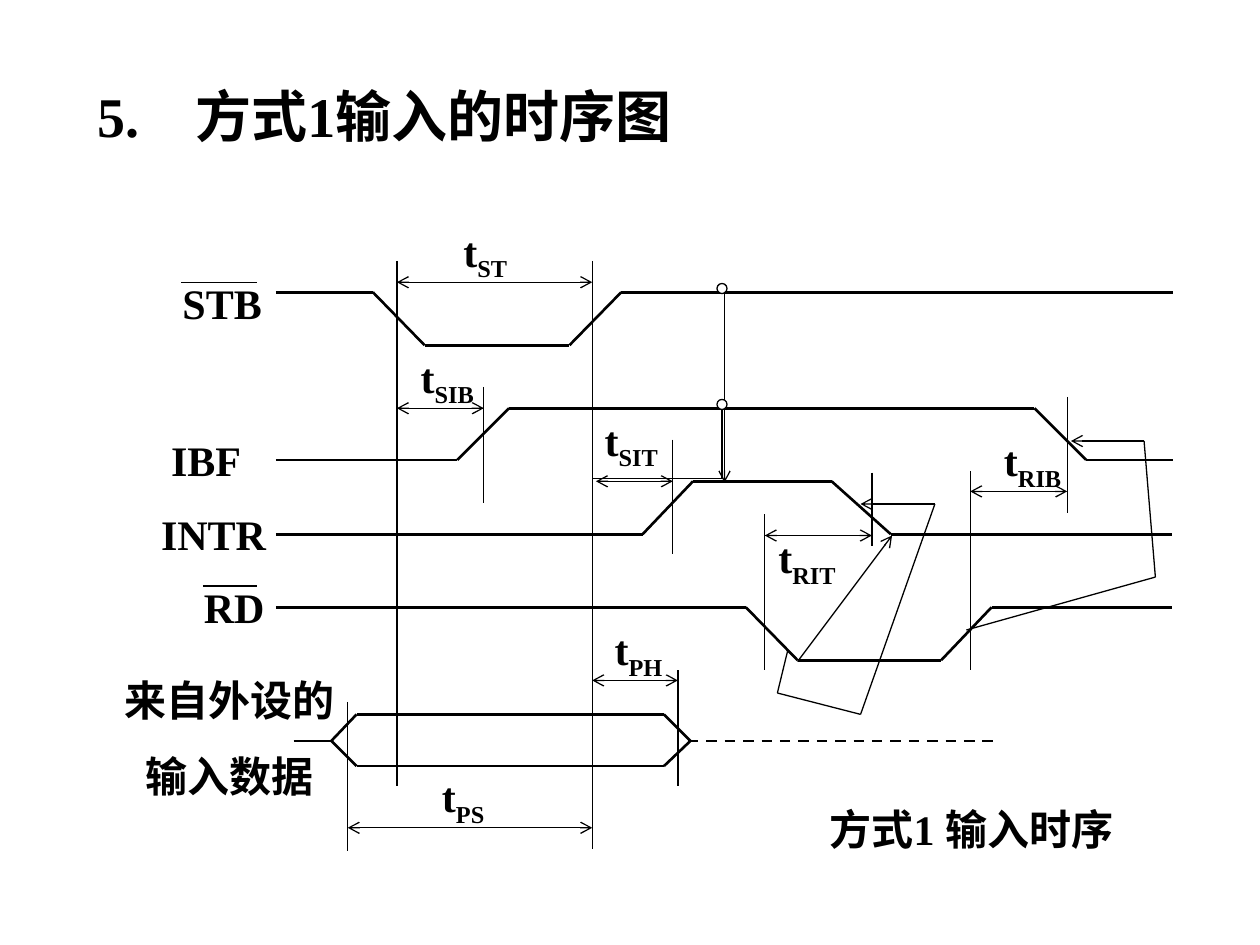
from itertools import pairwise

from lxml import etree
from pptx import Presentation
from pptx import util as u
from pptx.dml import color
from pptx.enum import dml, shapes, text
from pptx.oxml import ns

COLORS = {"ink": "000000", "paper": "FFFFFF"}
THICK, THIN = 1.5, 0.75


class TimingDiagram:
    font = "Times New Roman"
    size = 24

    def __init__(self, s):
        self.s = s

    def rgb(self, name):
        return color.RGBColor.from_string(COLORS[name])

    def outline(self, sp, width):
        sp.line.color.rgb = self.rgb("ink")
        sp.line.width = u.Pt(width)

    def run(self, p, words, size=None, baseline=None):
        r = p.add_run()
        r.text = words
        r.font.name = self.font
        r.font.size = u.Pt(size or self.size)
        r.font.bold = True
        r.font.color.rgb = self.rgb("ink")
        if baseline:
            r.font._element.set("baseline", str(baseline))

    def frame(self, sp):
        tf = sp.text_frame
        tf.word_wrap = True
        tf.auto_size = text.MSO_AUTO_SIZE.NONE
        tf.vertical_anchor = text.MSO_ANCHOR.TOP
        return tf

    def title(self, words, x, y, w, h, tab):
        sp = self.s.shapes.title
        sp.left, sp.top, sp.width, sp.height = map(u.Inches, (x, y, w, h))
        p = self.frame(sp).paragraphs[0]
        p.alignment = text.PP_ALIGN.LEFT
        tabs = etree.SubElement(p._p.get_or_add_pPr(), ns.qn("a:tabLst"))
        etree.SubElement(tabs, ns.qn("a:tab"), pos=str(u.Inches(tab)), algn="l")
        self.run(p, words, 32)

    def label(self, lines, x, y, w, h=0.5, align=text.PP_ALIGN.LEFT):
        sp = self.s.shapes.add_textbox(*map(u.Inches, (x, y, w, h)))
        tf = self.frame(sp)
        for i, words in enumerate(lines):
            p = tf.add_paragraph() if i else tf.paragraphs[0]
            p.alignment = align
            if i:
                p.space_before = u.Pt(15)
            self.run(p, words)

    def interval(self, sub, x, y, boxed=False):
        box = [u.Inches(v) for v in (x, y, 1.03, 0.56)]
        if boxed:
            sp = self.s.shapes.add_shape(shapes.MSO_SHAPE.RECTANGLE, *box)
            sp.shadow.inherit = False
            sp.fill.background()
            self.outline(sp, THIN)
        else:
            sp = self.s.shapes.add_textbox(*box)
        p = self.frame(sp).paragraphs[0]
        p.alignment = text.PP_ALIGN.LEFT
        self.run(p, "t")
        self.run(p, sub, baseline=-25000)

    def line(self, start, end, width=THIN, ends=(), dashed=False):
        sp = self.s.shapes.add_connector(
            shapes.MSO_CONNECTOR.STRAIGHT, *map(u.Inches, (*start, *end)))
        self.outline(sp, width)
        if dashed:
            sp.line.dash_style = dml.MSO_LINE.DASH
        ln = sp.line._get_or_add_ln()
        for end_tag in ends:
            etree.SubElement(ln, ns.qn(f"a:{end_tag}"), type="arrow")
        etree.SubElement(sp._element.spPr, ns.qn("a:effectLst"))

    def trace(self, points, width=THICK, arrow=False):
        steps = list(pairwise(points))
        for i, (start, end) in enumerate(steps):
            last = arrow and i == len(steps) - 1
            self.line(start, end, width, ("tailEnd",) if last else ())

    def node(self, x, y, d=0.08):
        sp = self.s.shapes.add_shape(
            shapes.MSO_SHAPE.OVAL, *map(u.Inches, (x, y, d, d)))
        sp.shadow.inherit = False
        sp.fill.solid()
        sp.fill.fore_color.rgb = self.rgb("paper")
        self.outline(sp, THIN)


WAVES = {
    "STB": [(2.19, 2.32), (2.96, 2.32), (3.37, 2.74), (4.52, 2.74),
            (4.93, 2.32), (9.31, 2.32)],
    "IBF": [(2.19, 3.65), (3.63, 3.65), (4.04, 3.24), (8.21, 3.24),
            (8.62, 3.65), (9.31, 3.65)],
    "INTR": [(2.19, 4.24), (5.1, 4.24), (5.5, 3.82), (6.6, 3.82),
             (7.07, 4.24), (9.3, 4.24)],
    "RD": [(2.19, 4.82), (5.92, 4.82), (6.33, 5.24), (7.47, 5.24),
           (7.87, 4.82), (9.3, 4.82)],
    "data high": [(2.33, 5.88), (2.63, 5.88), (2.83, 5.67), (5.27, 5.67),
                  (5.48, 5.88)],
    "data low": [(2.63, 5.88), (2.83, 6.08), (5.27, 6.08), (5.48, 5.88)],
}
GUIDES = [(3.15, 2.07, 6.24), (4.7, 2.07, 6.74), (2.76, 5.57, 6.75),
          (6.07, 4.08, 5.32), (7.7, 3.74, 5.32), (6.92, 3.75, 4.33),
          (8.47, 3.15, 4.07), (3.84, 3.07, 3.99), (5.34, 3.49, 4.4),
          (5.38, 5.32, 6.24)]
SPANS = [(3.15, 4.7, 2.24), (3.15, 3.84, 3.24), (4.73, 5.34, 3.82),
         (6.07, 6.92, 4.25), (7.7, 8.47, 3.9), (4.7, 5.38, 5.4),
         (2.76, 4.7, 6.57)]
INTERVALS = [("ST", 3.58, 1.74), ("SIB", 3.24, 2.74), ("RIT", 6.08, 4.17),
             ("RIB", 7.87, 3.4), ("PS", 3.41, 6.07), ("PH", 4.78, 4.9)]
SIGNALS = [("STB", 1.35, 2.15), ("IBF", 1.26, 3.4), ("INTR", 1.18, 3.99),
           ("RD", 1.52, 4.57)]
OVERBARS = [(1.44, 2.24), (1.61, 4.65)]
CAUSES = [
    [(6.33, 5.25), (7.08, 4.25)],
    [(6.25, 5.17), (6.17, 5.5), (6.83, 5.67), (7.42, 4), (6.83, 4)],
    [(7.67, 5), (9.17, 4.58), (9.08, 3.5), (8.5, 3.5)],
    [(5.75, 2.33), (5.75, 3.83)],
]


def main():
    prs = Presentation()
    prs.slide_width, prs.slide_height = u.Inches(10), u.Inches(7.5)
    d = TimingDiagram(prs.slides.add_slide(prs.slide_layouts[5]))
    d.title("5.\t方式1输入的时序图", 0.67, 0.6, 8, 0.64, tab=0.78)

    d.interval("SIT", 4.7, 3.24, boxed=True)
    for points in WAVES.values():
        d.trace(points)
    d.line((5.46, 5.88), (7.93, 5.88), THICK, dashed=True)
    for x, top, bottom in GUIDES:
        d.line((x, top), (x, bottom))
    for left, right, y in SPANS:
        d.line((left, y), (right, y), ends=("headEnd", "tailEnd"))

    for sub, x, y in INTERVALS:
        d.interval(sub, x, y)
    for name, x, y in SIGNALS:
        d.label([name], x, y, 1.46)
    for x, y in OVERBARS:
        d.line((x, y), (2.04, y))
    center = text.PP_ALIGN.CENTER
    d.label(["来自外设的", "输入数据"], 0.75, 5.3, 2.14, 1.11, center)
    d.label(["方式1 输入时序"], 6.25, 6.33, 2.92, align=center)

    for points in CAUSES:
        d.trace(points, THIN, arrow=True)
    for y in (2.25, 3.17):
        d.node(5.69, y)
    prs.save("out.pptx")


if __name__ == "__main__":
    main()
